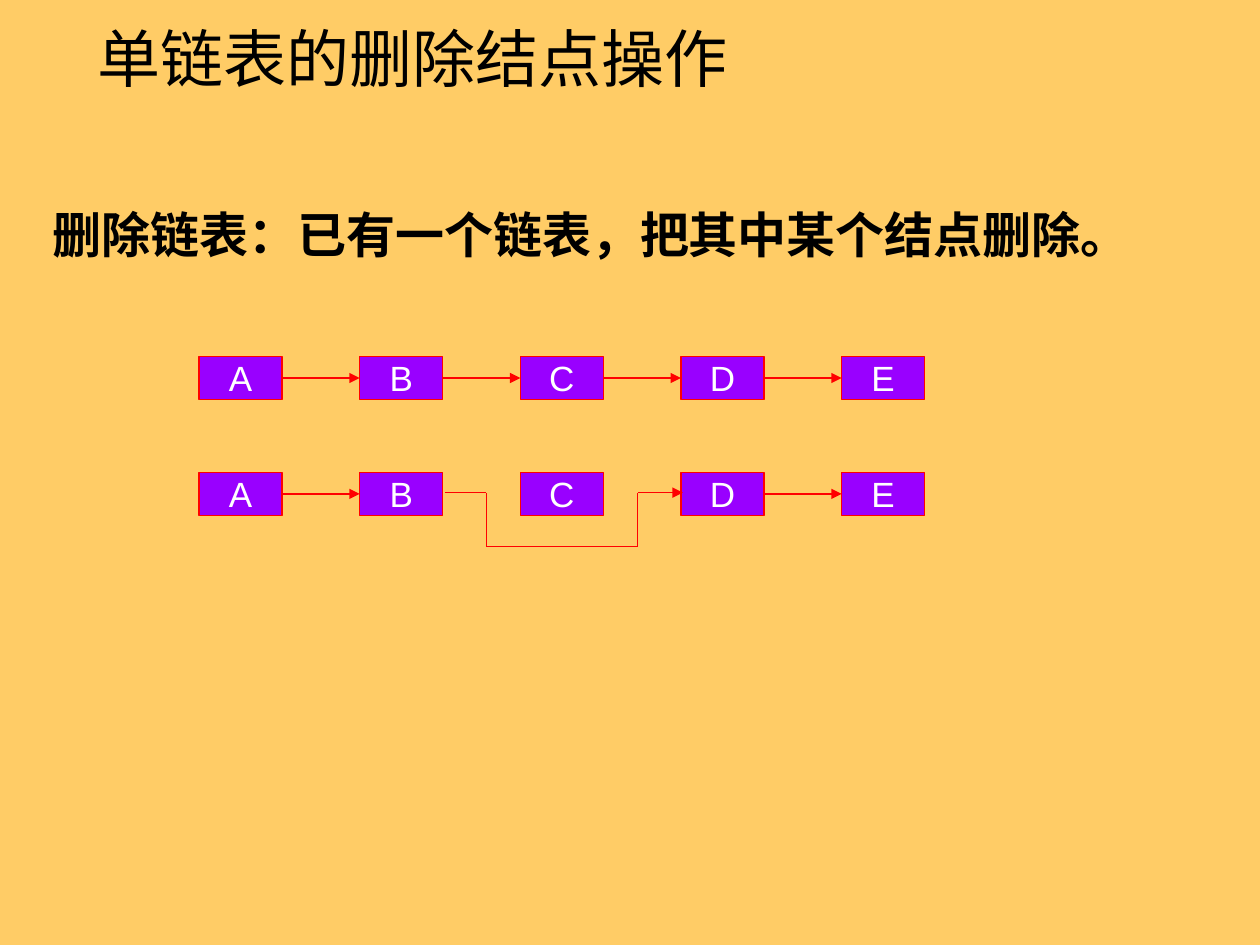
"""Build the slide on deleting a node from a singly linked list."""
import dataclasses

import pptx
import pptx.dml.color
import pptx.enum.shapes
import pptx.enum.text
import pptx.oxml.ns
import pptx.util
from lxml import etree

Inches = pptx.util.Inches
RGB = pptx.dml.color.RGBColor.from_string
qn = pptx.oxml.ns.qn


@dataclasses.dataclass(frozen=True)
class Theme:
    background: str = "FFCC66"
    node: str = "9900FF"
    node_text: str = "FFFFFF"
    link: str = "FF0000"
    text: str = "000000"
    title_font: str = "Noto Sans CJK SC"
    body_font: str = "Arial"
    title_size: int = 36
    body_size: int = 28
    node_size: int = 20
    line_width: float = 0.75


theme = Theme()


def write(frame, text, size, color, font, align, bold=False):
    frame.vertical_anchor = pptx.enum.text.MSO_ANCHOR.MIDDLE
    paragraph = frame.paragraphs[0]
    paragraph.alignment = align
    run = paragraph.add_run()
    run.text = text
    run.font.size = pptx.util.Pt(size)
    run.font.color.rgb = RGB(color)
    run.font.name = font
    run.font.bold = bold


def link(chain, start_x, start_y, end_x, end_y, arrow=False):
    line = chain.shapes.add_connector(
        pptx.enum.shapes.MSO_CONNECTOR.STRAIGHT,
        Inches(start_x), Inches(start_y), Inches(end_x), Inches(end_y))
    line.line.color.rgb = RGB(theme.link)
    line.line.width = pptx.util.Pt(theme.line_width)
    if arrow:
        etree.SubElement(line.line._get_or_add_ln(), qn("a:tailEnd"), type="triangle")
    etree.SubElement(line._element.spPr, qn("a:effectLst"))


presentation = pptx.Presentation()
presentation.slide_width = Inches(10)
presentation.slide_height = Inches(7.5)
slide = presentation.slides.add_slide(presentation.slide_layouts[5])
slide.background.fill.solid()
slide.background.fill.fore_color.rgb = RGB(theme.background)

LEFT = pptx.enum.text.PP_ALIGN.LEFT
CENTER = pptx.enum.text.PP_ALIGN.CENTER

title = slide.shapes.title
title.left, title.top = Inches(0.67), Inches(0)
title.width, title.height = Inches(7.88), Inches(0.91)
title.text_frame.auto_size = pptx.enum.text.MSO_AUTO_SIZE.NONE
write(title.text_frame, "单链表的删除结点操作", theme.title_size, theme.text,
      theme.title_font, LEFT)

definition = slide.shapes.add_textbox(Inches(0.42), Inches(1.62), Inches(8.7), Inches(0.47))
frame = definition.text_frame
frame.word_wrap = False
frame.margin_left = frame.margin_top = frame.margin_right = frame.margin_bottom = 0
write(frame, "删除链表：已有一个链表，把其中某个结点删除。", theme.body_size, theme.text,
      theme.body_font, LEFT, bold=True)

labels = "ABCDE"
first_left, pitch = 1.58, 1.275
node_width, node_height = 0.66, 0.34
before_links = [0, 1, 2, 3]
after_links = [0, 3]

for top, linked_nodes in ((2.83, before_links), (3.75, after_links)):
    chain = slide.shapes.add_group_shape()
    middle = top + node_height / 2
    for index, label in enumerate(labels):
        node = chain.shapes.add_shape(
            pptx.enum.shapes.MSO_SHAPE.RECTANGLE, Inches(first_left + index * pitch),
            Inches(top), Inches(node_width), Inches(node_height))
        node.shadow.inherit = False
        node.fill.solid()
        node.fill.fore_color.rgb = RGB(theme.node)
        node.line.color.rgb = RGB(theme.link)
        node.line.width = pptx.util.Pt(theme.line_width)
        frame = node.text_frame
        frame.word_wrap = False
        frame.margin_left = frame.margin_top = frame.margin_right = frame.margin_bottom = 0
        write(frame, label, theme.node_size, theme.node_text, theme.body_font, CENTER)
    for index in linked_nodes:
        node_left = first_left + index * pitch
        link(chain, node_left + node_width, middle, node_left + pitch, middle, arrow=True)

bypass = [(3.53, 3.91), (3.86, 3.91), (3.86, 4.34), (5.06, 4.34), (5.06, 3.91), (5.42, 3.91)]
for step, (start, end) in enumerate(zip(bypass, bypass[1:]), start=2):
    link(chain, *start, *end, arrow=step == len(bypass))

presentation.save("out.pptx")
